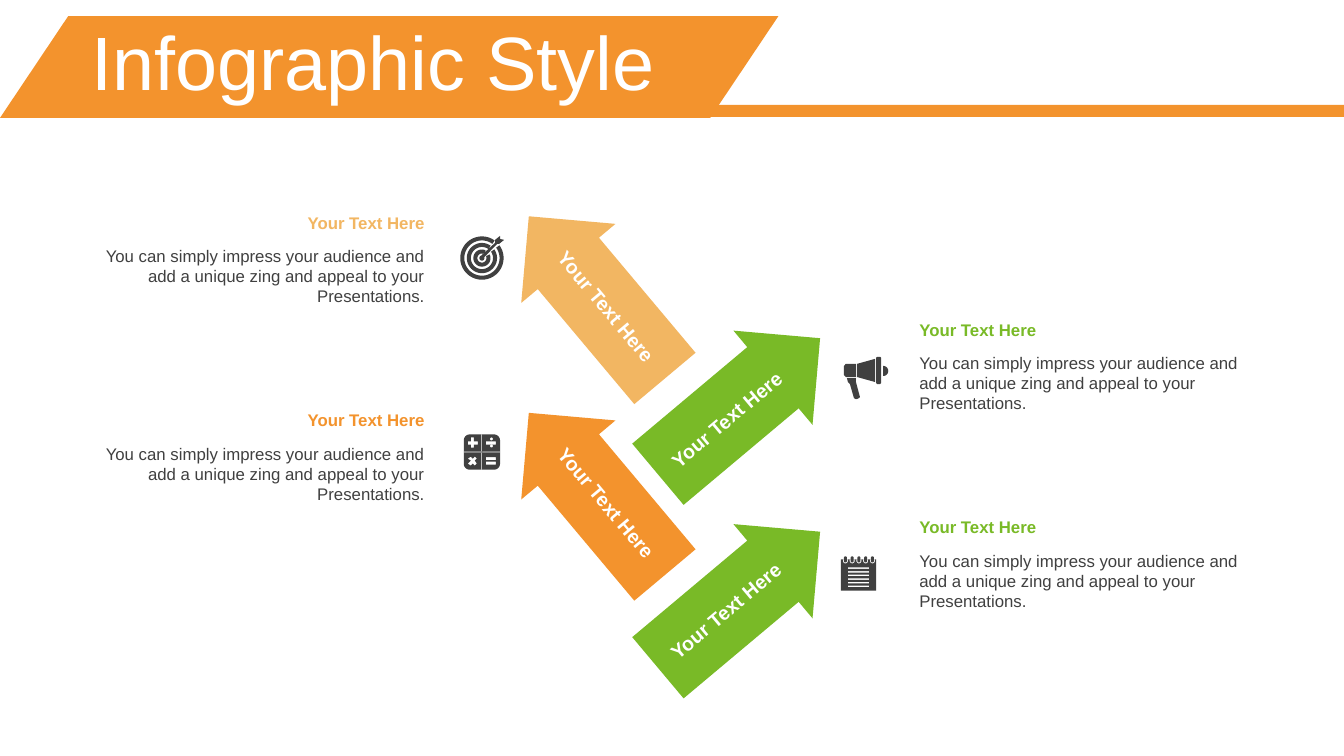
from dataclasses import dataclass
from math import cos, radians, sin
from typing import Any

from pptx import Presentation
from pptx.dml.color import RGBColor
from pptx.enum.shapes import MSO_SHAPE
from pptx.enum.text import MSO_ANCHOR, MSO_AUTO_SIZE, PP_ALIGN
from pptx.util import Emu, Pt

PX = 9144  # EMU per px, 100 px to the inch
LEFT, RIGHT = PP_ALIGN.LEFT, PP_ALIGN.RIGHT
TOP, MIDDLE = MSO_ANCHOR.TOP, MSO_ANCHOR.MIDDLE
GROW, FIXED = MSO_AUTO_SIZE.SHAPE_TO_FIT_TEXT, MSO_AUTO_SIZE.NONE
RECT, SLANT = MSO_SHAPE.RECTANGLE, MSO_SHAPE.PARALLELOGRAM
ARROW = MSO_SHAPE.RIGHT_ARROW

FONT = "Arial"
ORANGE, SAND, GREEN = "F3932D", "F2B662", "79BA27"
WHITE, DARK = "FFFFFF", "404040"
HEAD = "Your Text Here"
BODY = ("You can simply impress your audience and add a unique zing "
        "and appeal to your Presentations.")

Point = tuple[float, float]
Path = list[Point]
Box = tuple[int, int, int, int]


@dataclass
class Step:
    color: str
    arrow: tuple[int, int]
    turn: int
    label: tuple[int, int]
    tilt: int
    note: tuple[int, int]
    align: Any


STEPS = [
    Step(SAND, (487, 234), 230, (523, 287), 50, (75, 206), RIGHT),
    Step(GREEN, (628, 342), 320, (643, 399), 320, (902, 312), LEFT),
    Step(ORANGE, (487, 429), 230, (523, 482), 50, (75, 402), RIGHT),
    Step(GREEN, (628, 534), 320, (642, 589), 320, (902, 508), LEFT),
]


def emu(px: float) -> Emu:
    return Emu(round(px * PX))


def rgb(color: str) -> RGBColor:
    return RGBColor.from_string(color)


def paint(shape: Any, color: str) -> None:
    shape.shadow.inherit = False
    shape.fill.solid()
    shape.fill.fore_color.rgb = rgb(color)
    shape.line.fill.background()


def block(shapes: Any, kind: Any, box: Box, color: str,
          adjust: tuple[float, ...] = (), turn: int = 0) -> None:
    shape = shapes.add_shape(kind, *map(emu, box))
    for i, value in enumerate(adjust):
        shape.adjustments[i] = value
    shape.rotation = turn
    paint(shape, color)


def write(shapes: Any, text: str, box: Box, *, size: int = 12,
          color: str = DARK, bold: bool = False, align: Any = LEFT,
          turn: int = 0, anchor: Any = TOP, fit: Any = GROW,
          space: float = 1.0, before: int = 0) -> None:
    shape = shapes.add_textbox(*map(emu, box))
    shape.rotation = turn
    frame = shape.text_frame
    frame.word_wrap = True
    frame.auto_size = fit
    frame.vertical_anchor = anchor
    para = frame.paragraphs[0]
    para.alignment = align
    para.line_spacing = space
    para.space_before = Pt(before)
    run = para.add_run()
    run.text = text
    run.font.name = FONT
    run.font.size = Pt(size)
    run.font.bold = bold
    run.font.color.rgb = rgb(color)


# Outlines for icons; a path inside another one cuts a hole
def arc(x: float, y: float, r: float, start: float, end: float) -> Path:
    count = max(6, round(abs(end - start) / 8))
    turns = [radians(start + (end - start) * i / count)
             for i in range(count + 1)]
    return [(x + r * cos(t), y + r * sin(t)) for t in turns]


def rect(x: float, y: float, w: float, h: float) -> Path:
    return [(x, y), (x + w, y), (x + w, y + h), (x, y + h)]


def icon(shapes: Any, paths: list[Path]) -> None:
    scaled = [[(emu(x), emu(y)) for x, y in path] for path in paths]
    pen = shapes.build_freeform(*scaled[0][0], scale=1.0)
    for i, path in enumerate(scaled):
        if i:
            pen.move_to(*path[0])
        pen.add_line_segments(path[1:], close=True)
    paint(pen.convert_to_shape(), DARK)


def target() -> list[Path]:
    x, y = 478, 256
    rings = [arc(x, y, out, gap - 45, 315 - gap)
             + arc(x, y, hole, 315 - gap, gap - 45)
             for out, hole, gap in ((21.5, 17.5, 9), (15, 11, 10), (8.5, 4.5, 20))]
    dart = [(496, 234), (496, 237), (500, 238), (495, 242), (493, 242),
            *arc(x, y, 2.5, -20, 250), (491, 241), (491, 238)]
    return [*rings, dart]


def horn() -> list[Path]:
    grip = [(840, 375), (849, 375), (849, 379), (853, 394), (851, 395.5),
            (849, 396), (847, 395), (843, 381), (841, 379)]
    back = [(839, 361), (849, 361), (849, 374), (839, 374),
            (837, 372), (837, 363)]
    cone = [(868, 356), (868, 379), (850, 374), (850, 361)]
    rim = [(870, 354), (873, 354), (874, 355), (874, 380),
           (873, 381), (870, 381), (869, 380), (869, 355)]
    return [grip, back, cone, rim, arc(876, 368, 5, -90, 90)]


def sums() -> list[Path]:
    body = [point for x, y, start in ((466, 437, 180), (490, 437, 270),
                                      (490, 460, 0), (466, 460, 90))
            for point in arc(x, y, 6, start, start + 90)]
    seams = [rect(477.5, 431, 0.7, 35), rect(460, 448, 36, 0.7)]
    plus = [(467, 434), (470, 434), (470, 438), (474, 438), (474, 441),
            (470, 441), (470, 444), (467, 444), (467, 441), (464, 441),
            (464, 438), (467, 438)]
    times = [(467, 453), (469, 455), (471, 453), (473, 455), (471, 457),
             (473, 460), (471, 462), (469, 460), (467, 462), (464, 460),
             (467, 457), (464, 455)]
    bars = [rect(482, y, 10, 3) for y in (438, 453.5, 458)]
    dots = [arc(487.5, y, 1.5, 0, 360) for y in (435.5, 442.5)]
    return [body, *seams, plus, times, *bars, *dots]


def pad() -> list[Path]:
    paths = [rect(834, 555, 35, 31)]
    paths += [rect(841, 563 + 3.6 * i, 21, 1.5) for i in range(6)]
    for i in range(5):
        x = 838.5 + 6.7 * i
        paths.append([(x - 2.5, 555), (x + 2.5, 555), *arc(x, 556.5, 2.5, 0, 180)])
        paths.append(arc(x, 553.5, 1.5, 180, 360) + arc(x, 556.5, 1.5, 0, 180))
    return paths


def main() -> None:
    deck = Presentation()
    deck.slide_width, deck.slide_height = emu(1333), emu(750)
    blank = deck.slide_layouts[6]
    shapes = deck.slides.add_slide(blank).shapes

    # Header band and title
    block(shapes, RECT, (667, 104, 667, 12), ORANGE)
    block(shapes, SLANT, (0, 16, 772, 101), ORANGE, (0.67,))
    write(shapes, "Infographic Style", (81, 26, 1224, 79), size=54,
          color=WHITE, anchor=MIDDLE, fit=FIXED, space=0.9, before=10)

    # Arrows with their labels and notes
    for step in STEPS:
        block(shapes, ARROW, (*step.arrow, 210, 122), step.color,
              (0.65, 0.5), step.turn)
        write(shapes, HEAD, (*step.label, 156, 34), size=14, color=WHITE,
              bold=True, align=step.align, turn=step.tilt)
        x, y = step.note
        note = shapes.add_group_shape().shapes
        write(note, HEAD, (x, y, 356, 30), color=step.color, bold=True,
              align=step.align)
        write(note, BODY, (x, y + 33, 356, 71), align=step.align)

    # Icons
    for paths in (target(), horn(), sums(), pad()):
        icon(shapes, paths)

    deck.save("out.pptx")


if __name__ == "__main__":
    main()
